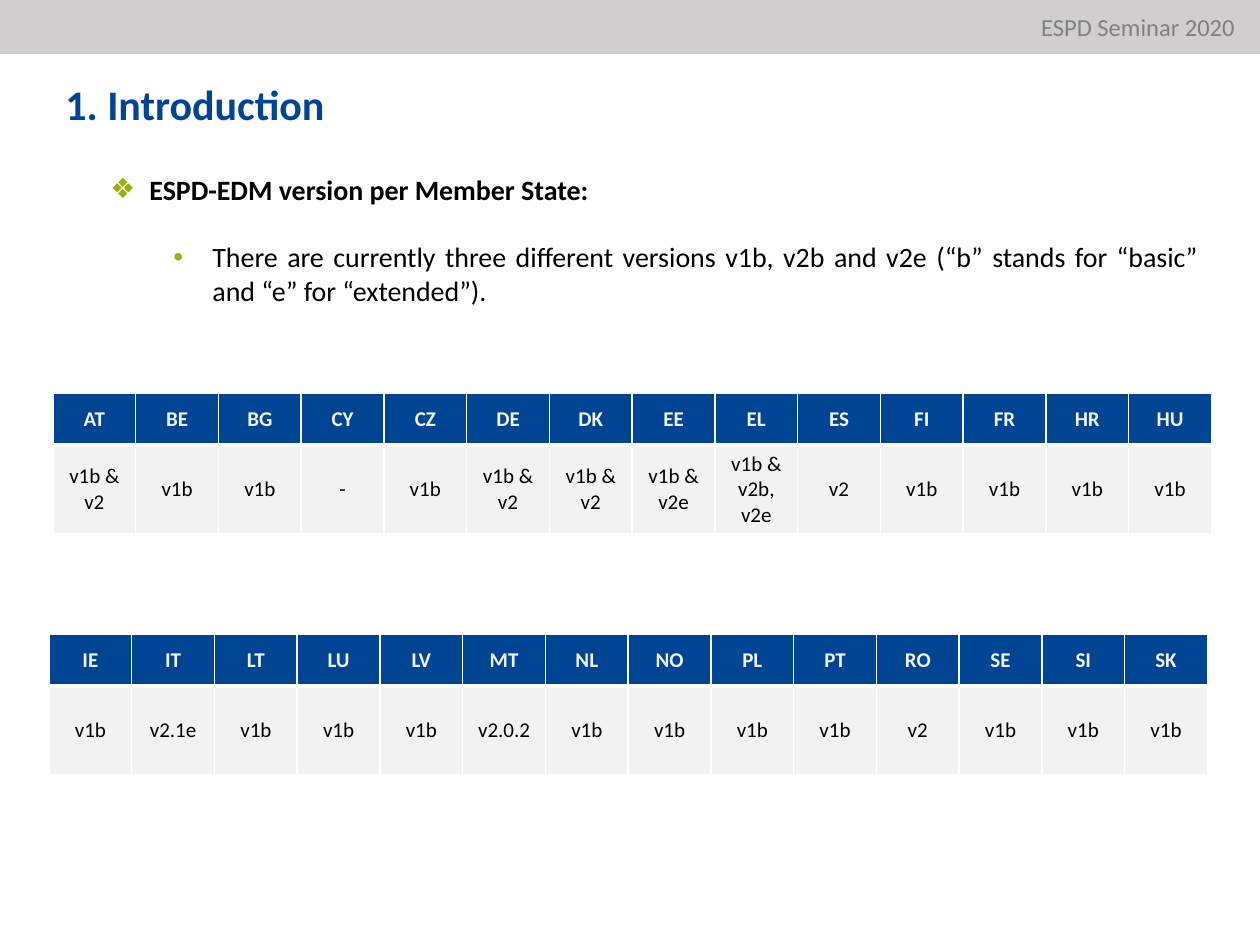
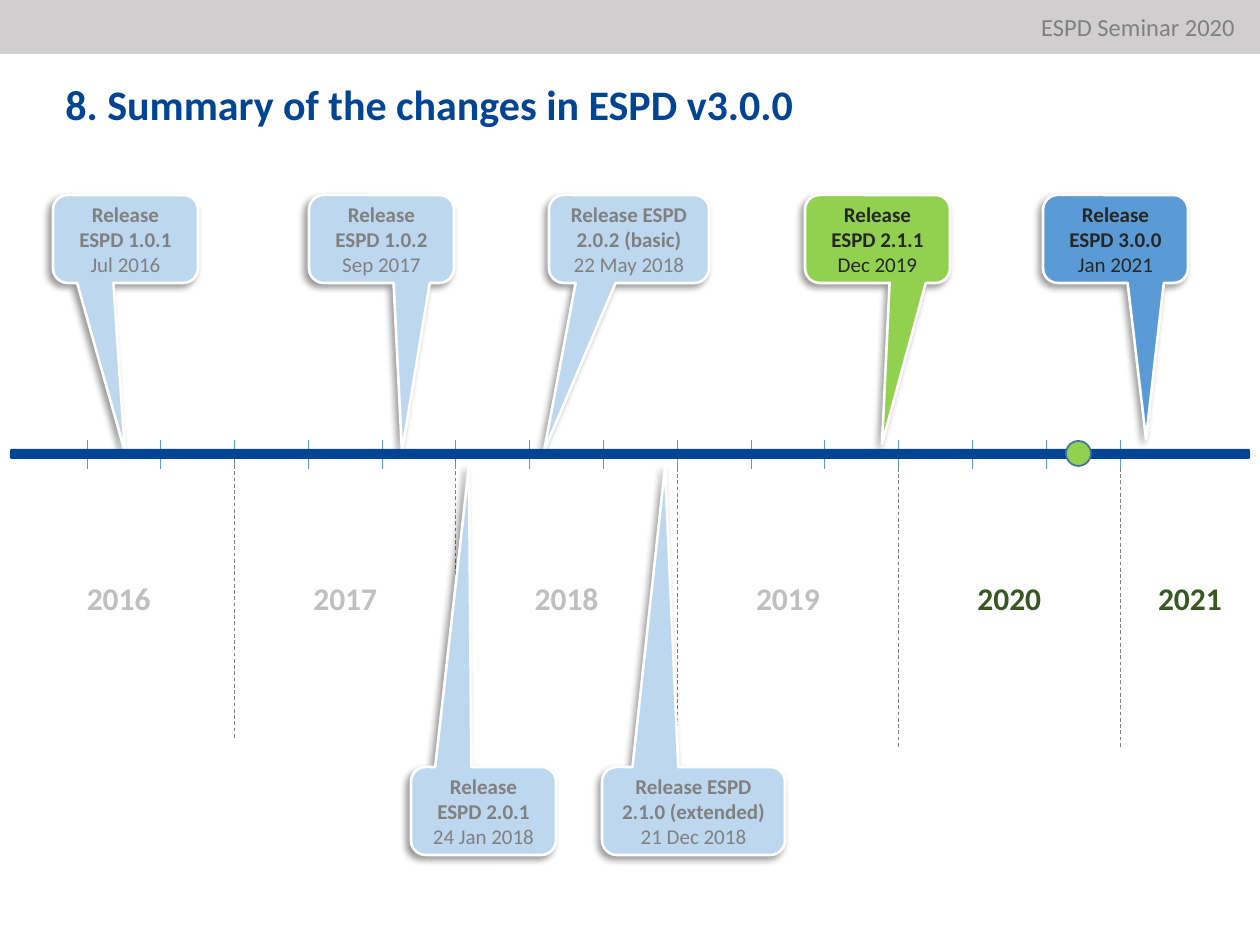
from dataclasses import dataclass
from itertools import pairwise
from typing import Any

from lxml.etree import SubElement
from pptx import Presentation
from pptx.dml.color import RGBColor
from pptx.enum.dml import MSO_LINE as DASH
from pptx.enum.shapes import MSO_CONNECTOR as CONN, MSO_SHAPE as SHAPE
from pptx.enum.text import MSO_ANCHOR as ANCHOR, PP_ALIGN as ALIGN
from pptx.oxml.ns import qn
from pptx.util import Emu, Pt

EMU_PER_PX = 914400 / 126


@dataclass(frozen=True)
class Theme:
    font: str = "Calibri"
    navy: str = "004494"
    band: str = "D0CECE"
    grey: str = "808080"
    black: str = "000000"
    white: str = "FFFFFF"
    pale: str = "F2F2F2"
    bullet: str = "9BAF04"
    past: str = "BDD7EE"
    current: str = "92D050"
    upcoming: str = "5B9BD5"
    dark: str = "262626"
    dot_line: str = "43739E"
    past_year: str = "BFBFBF"
    year: str = "385723"
    title_size: int = 24
    year_size: int = 18
    body_size: int = 16
    band_size: int = 14
    small_size: int = 12


T = Theme()


@dataclass(frozen=True)
class Box:
    x: float
    y: float
    w: float
    h: float

    def emu(self) -> tuple[Emu, ...]:
        return tuple(px(v) for v in (self.x, self.y, self.w, self.h))


@dataclass(frozen=True)
class Bullet:
    text: str
    char: str
    margin: int
    before: float
    bold: bool


@dataclass(frozen=True)
class VersionTable:
    x: int
    y: int
    versions: dict[str, str]


@dataclass(frozen=True)
class Release:
    name: str
    date: str
    x: int
    tip_x: int
    tip_y: int
    y: int = 195
    w: int = 145
    h: int = 88
    fill: str = T.past
    color: str = T.grey


BULLETS = (
    Bullet("ESPD-EDM version per Member State:", "❖", 102, 0, True),
    Bullet("There are currently three different versions v1b, v2b and v2e "
           "(“b” stands for “basic” and “e” for “extended”).", "•", 165, 19.5, False),
)
TABLES = (
    VersionTable(53, 393, {
        "AT": "v1b & v2", "BE": "v1b", "BG": "v1b", "CY": "-", "CZ": "v1b",
        "DE": "v1b & v2", "DK": "v1b & v2", "EE": "v1b & v2e",
        "EL": "v1b & v2b, v2e", "ES": "v2", "FI": "v1b", "FR": "v1b",
        "HR": "v1b", "HU": "v1b"}),
    VersionTable(49, 634, {
        "IE": "v1b", "IT": "v2.1e", "LT": "v1b", "LU": "v1b", "LV": "v1b",
        "MT": "v2.0.2", "NL": "v1b", "NO": "v1b", "PL": "v1b", "PT": "v1b",
        "RO": "v2", "SE": "v1b", "SI": "v1b", "SK": "v1b"}),
)
RELEASES = (
    Release("Release ESPD 1.0.1", "Jul 2016", 53, 125, 452),
    Release("Release ESPD 1.0.2", "Sep 2017", 309, 402, 452),
    Release("Release ESPD 2.0.2 (basic)", "22 May 2018", 549, 544, 451, w=160),
    Release("Release ESPD 2.1.1", "Dec 2019", 805, 882, 444,
            fill=T.current, color=T.dark),
    Release("Release ESPD 3.0.0", "Jan 2021", 1043, 1146, 439,
            fill=T.upcoming, color=T.dark),
    Release("Release ESPD 2.0.1", "24 Jan 2018", 411, 469, 466, y=767),
    Release("Release ESPD 2.1.0 (extended)", "21 Dec 2018", 602, 665, 467,
            y=767, w=183),
)


def px(value: float) -> Emu:
    return Emu(round(value * EMU_PER_PX))


def rgb(color: str) -> RGBColor:
    return RGBColor.from_string(color)


def apply(obj: Any, values: dict[str, Any]) -> None:
    for name, value in values.items():
        setattr(obj, name, value)


def write(p: Any, text: str, size: int, color: str, bold: bool = False,
          align: ALIGN = ALIGN.LEFT) -> None:
    p.alignment = align
    r = p.add_run()
    r.text = text
    apply(r.font, {"name": T.font, "size": Pt(size), "bold": bold})
    r.font.color.rgb = rgb(color)


def add_text(s: Any, box: Box) -> Any:
    tf = s.shapes.add_textbox(*box.emu()).text_frame
    tf.word_wrap = True
    return tf


def add_shape(s: Any, kind: SHAPE, box: Box, fill: str, line: str | None = None,
              width: float = 1) -> Any:
    sp = s.shapes.add_shape(kind, *box.emu())
    sp.shadow.inherit = False
    sp.fill.solid()
    sp.fill.fore_color.rgb = rgb(fill)
    if line:
        sp.line.color.rgb = rgb(line)
        sp.line.width = Pt(width)
    else:
        sp.line.fill.background()
    return sp


def add_line(s: Any, x: float, top: int, bottom: int, color: str,
             dash: DASH | None = None) -> None:
    cx = s.shapes.add_connector(CONN.STRAIGHT, px(x), px(top), px(x), px(bottom))
    cx.line.color.rgb = rgb(color)
    apply(cx.line, {"width": Pt(0.5), "dash_style": dash})
    SubElement(cx._element.spPr, qn("a:effectLst"))


def add_solid(parent: Any, color: str) -> None:
    fill = SubElement(parent, qn("a:solidFill"))
    SubElement(fill, qn("a:srgbClr"), val=color)


def add_frame(s: Any, title: str) -> None:
    write(add_text(s, Box(53, 72, 833, 63)).paragraphs[0], title,
          T.title_size, T.navy, True)
    sp = add_shape(s, SHAPE.RECTANGLE, Box(-1, 0, 1261, 54), T.band)
    tf = sp.text_frame
    apply(tf, {"vertical_anchor": ANCHOR.MIDDLE, "margin_right": px(25)})
    write(tf.paragraphs[0], "ESPD Seminar 2020", T.band_size, T.grey,
          align=ALIGN.RIGHT)


def add_bullets(s: Any, box: Box, bullets: tuple[Bullet, ...]) -> None:
    tf = add_text(s, box)
    for i, item in enumerate(bullets):
        p = tf.add_paragraph() if i else tf.paragraphs[0]
        p.space_before = Pt(item.before)
        write(p, item.text, T.body_size, T.black, item.bold, ALIGN.JUSTIFY)
        pPr = p._p.get_or_add_pPr()
        pPr.set("marL", str(px(item.margin)))
        pPr.set("indent", str(px(-39)))
        SubElement(SubElement(pPr, qn("a:buClr")), qn("a:srgbClr"), val=T.bullet)
        SubElement(pPr, qn("a:buFont"), typeface="Arial")
        SubElement(pPr, qn("a:buChar"), char=item.char)


def format_cell(cell: Any, text: str, header: bool) -> None:
    cell.vertical_anchor = ANCHOR.MIDDLE
    write(cell.text_frame.paragraphs[0], text, T.small_size,
          T.pale if header else T.black, header, ALIGN.CENTER)
    tcPr = cell._tc.get_or_add_tcPr()
    thick = "lnB" if header else "lnT"
    for side in ("lnL", "lnR", "lnT", "lnB"):
        width = Pt(3 if side == thick else 1)
        add_solid(SubElement(tcPr, qn(f"a:{side}"), w=str(width)), T.white)
    cell.fill.solid()
    cell.fill.fore_color.rgb = rgb(T.navy if header else T.pale)


def add_versions(s: Any, spec: VersionTable) -> None:
    count = len(spec.versions)
    box = Box(spec.x, spec.y, 1159, 141)
    tbl = s.shapes.add_table(2, count, *box.emu()).table
    tbl.horz_banding = False
    for row, height in zip(tbl.rows, (52, 89)):
        row.height = px(height)
    for col, pair in enumerate(spec.versions.items()):
        tbl.columns[col].width = px(box.w / count)
        for row, text in enumerate(pair):
            format_cell(tbl.cell(row, col), text, row == 0)


def add_release(s: Any, rel: Release) -> None:
    box = Box(rel.x, rel.y, rel.w, rel.h)
    sp = add_shape(s, SHAPE.ROUNDED_RECTANGULAR_CALLOUT, box, rel.fill, T.white, 1.5)
    sp.adjustments[0] = (rel.tip_x - rel.x) / rel.w - 0.5
    sp.adjustments[1] = (rel.tip_y - rel.y) / rel.h - 0.5
    effects = sp._element.spPr.find(qn("a:effectLst"))
    shadow = SubElement(effects, qn("a:outerShdw"), blurRad=str(Pt(4)),
                        dist=str(Pt(3)), dir="8100000", algn="tr", rotWithShape="0")
    color = SubElement(shadow, qn("a:srgbClr"), val=T.black)
    SubElement(color, qn("a:alpha"), val="40000")
    tf = sp.text_frame
    apply(tf, {"word_wrap": True, "vertical_anchor": ANCHOR.MIDDLE})
    write(tf.paragraphs[0], rel.name, T.small_size, rel.color, True, ALIGN.CENTER)
    write(tf.add_paragraph(), rel.date, T.small_size, rel.color, align=ALIGN.CENTER)


def build_introduction(s: Any) -> None:
    add_frame(s, "1. Introduction")
    add_bullets(s, Box(35, 166, 1176, 183), BULLETS)
    for spec in TABLES:
        add_versions(s, spec)


def build_timeline(s: Any) -> None:
    add_frame(s, "8. Summary of the changes in ESPD v3.0.0")
    first, last, steps = 87, 1120, 14
    ticks = [first + i * (last - first) / steps for i in range(steps + 1)]
    year_ends = ticks[2::3]
    for x in ticks:
        add_line(s, x, 440, 469, T.upcoming)
    for i, x in enumerate(year_ends):
        top = 459 if i < 2 else 468
        add_line(s, x, top, top + 280, T.grey, DASH.DASH)
    for year, (left, right) in enumerate(pairwise([3, *year_ends, 1260]), 2016):
        tf = add_text(s, Box(left, 573, right - left, 50))
        write(tf.paragraphs[0], str(year), T.year_size,
              T.year if year >= 2020 else T.past_year, True, ALIGN.CENTER)
    for rel in RELEASES:
        add_release(s, rel)
    add_shape(s, SHAPE.ROUNDED_RECTANGLE, Box(10, 449, 1240, 10), T.navy)
    add_shape(s, SHAPE.OVAL, Box(1066, 441, 25, 25), T.current, T.dot_line)


def main() -> None:
    prs = Presentation()
    apply(prs, {"slide_width": px(1260), "slide_height": px(945)})
    for build in (build_introduction, build_timeline):
        build(prs.slides.add_slide(prs.slide_layouts[6]))
    prs.save("out.pptx")


if __name__ == "__main__":
    main()
